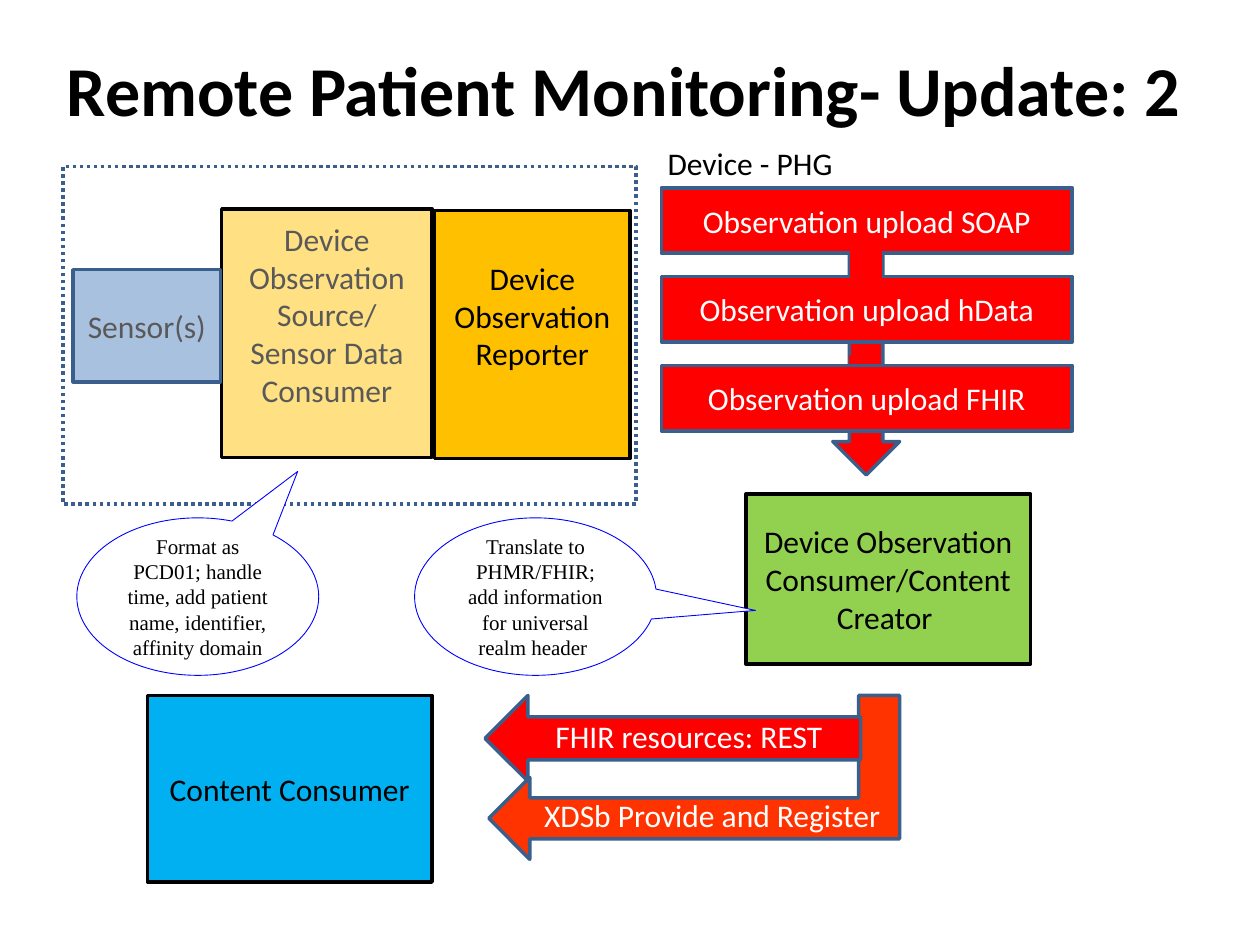
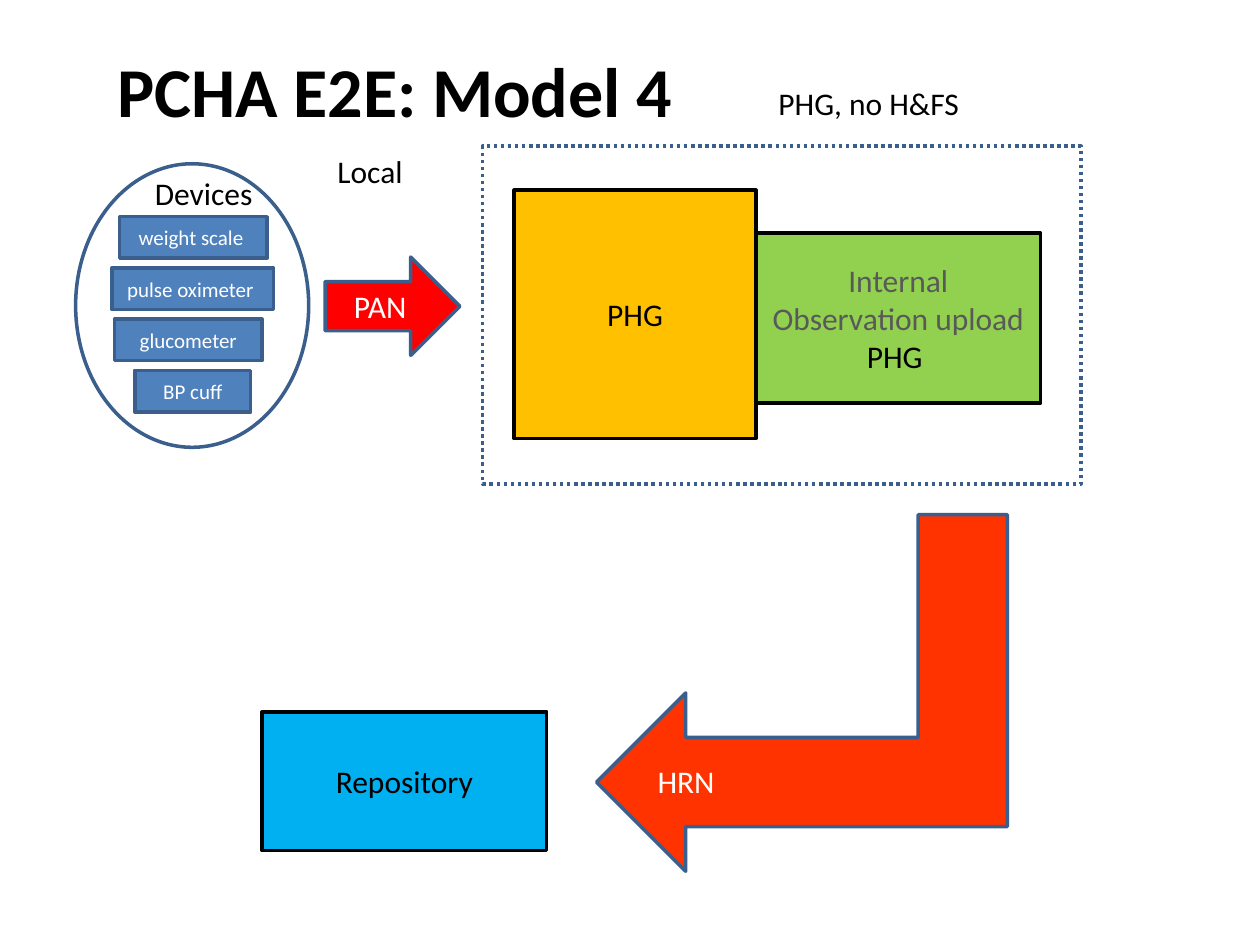
from lxml import etree
from pptx import Presentation
from pptx.dml.color import RGBColor
from pptx.enum.dml import MSO_LINE
from pptx.enum.shapes import MSO_SHAPE
from pptx.enum.text import MSO_ANCHOR, PP_ALIGN
from pptx.oxml.ns import qn
from pptx.util import Inches, Pt

RECT = MSO_SHAPE.RECTANGLE
OVAL = MSO_SHAPE.OVAL
CALLOUT = MSO_SHAPE.OVAL_CALLOUT
RIGHT_ARROW = MSO_SHAPE.RIGHT_ARROW
DOWN_ARROW = MSO_SHAPE.DOWN_ARROW
BENT_ARROW = MSO_SHAPE.BENT_UP_ARROW
DOTTED = MSO_LINE.ROUND_DOT
MIDDLE, TOP = MSO_ANCHOR.MIDDLE, MSO_ANCHOR.TOP
LEFT, CENTER = PP_ALIGN.LEFT, PP_ALIGN.CENTER

BLACK = RGBColor(0x00, 0x00, 0x00)
WHITE = RGBColor(0xFF, 0xFF, 0xFF)
GRAY = RGBColor(0x59, 0x59, 0x59)
STEEL = RGBColor(0x4F, 0x81, 0xBD)
NAVY = RGBColor(0x3A, 0x5F, 0x8C)
BLUE = RGBColor(0x00, 0x00, 0xFF)
SKY = RGBColor(0x00, 0xB0, 0xF0)
AMBER = RGBColor(0xFF, 0xC0, 0x00)
GREEN = RGBColor(0x92, 0xD0, 0x50)
RED = RGBColor(0xFF, 0x00, 0x00)
ORANGE = RGBColor(0xFF, 0x33, 0x00)

SANS, SERIF = "Calibri", "Times New Roman"
ACTOR_WIDTH, ACTOR_HEIGHT = 2.26, 1.35
TALL_HEIGHT = 1.97
LABEL_HEIGHT = 0.4
TEXT_LINE = 0.3
FADED = 49

UPLOADS = ["Observation upload SOAP", "Observation upload hData", "Observation upload FHIR"]
UPLOAD_LEFT, UPLOAD_TOP, UPLOAD_LAST = 5.25, 1.49, 2.9
UPLOAD_WIDTH, UPLOAD_HEIGHT = 3.26, 0.52
STEMS = [(6.75, 2.83, 0.23, 0.32), (6.76, 1.99, 0.23, 0.35)]

CALLOUTS = [
    (0.61, (0.413, -0.795),
     "Format as PCD01; handle time, add patient name, identifier, affinity domain"),
    (3.29, (0.909, 0.088),
     "Translate to PHMR/FHIR; add information for universal realm header "),
]

DEVICES = [
    ("weight scale ", 0.95, 1.17),
    ("pulse oximeter ", 0.89, 1.28),
    ("glucometer", 0.91, 1.17),
    ("BP cuff", 1.07, 0.92),
]
DEVICE_TOP, DEVICE_LAST, DEVICE_HEIGHT = 1.72, 2.94, 0.33


def spread(first, last, count):
    step = (last - first) / (count - 1)
    return [first + step * index for index in range(count)]


def write(frame, lines, size=18, font=SANS, color=BLACK, align=CENTER, bold=False):
    for index, line in enumerate(lines):
        text, shade = line if isinstance(line, tuple) else (line, color)
        para = frame.paragraphs[0] if index == 0 else frame.add_paragraph()
        para.text = text
        para.alignment = align
        para.font.size = Pt(size)
        para.font.name = font
        para.font.bold = bold
        para.font.color.rgb = shade


def add_title(deck, text, left, top, width):
    page = deck.slides.add_slide(deck.slide_layouts[5])
    title = page.shapes.title
    title.left, title.top = Inches(left), Inches(top)
    title.width, title.height = Inches(width), Inches(0.77)
    title.text_frame.word_wrap = False
    title.text_frame.vertical_anchor = TOP
    write(title.text_frame, [text], size=40, align=LEFT, bold=True)
    return page


def add_label(page, text, left, top, width, color=BLACK, wrap=False):
    box = page.shapes.add_textbox(*map(Inches, (left, top, width, LABEL_HEIGHT)))
    box.text_frame.word_wrap = wrap
    write(box.text_frame, [text], color=color, align=LEFT)


def add_block(page, kind, place, fill=None, line=NAVY, weight=2, lines=(),
              opacity=100, blank_below=0, **style):
    block = page.shapes.add_shape(kind, *map(Inches, place))
    block.shadow.inherit = False
    if fill is None:
        block.fill.background()
    else:
        block.fill.solid()
        block.fill.fore_color.rgb = fill
    if opacity < 100:
        tint = block._element.spPr.find(qn("a:solidFill")).find(qn("a:srgbClr"))
        etree.SubElement(tint, qn("a:alpha")).set("val", str(opacity * 1000))
    block.line.color.rgb = line
    block.line.width = Pt(weight)
    frame = block.text_frame
    frame.word_wrap = True
    frame.vertical_anchor = MIDDLE
    frame.margin_bottom = Inches(0.05 + blank_below)
    write(frame, lines, **style)
    return block


def add_actor(page, left, top, fill, lines, width=ACTOR_WIDTH, height=ACTOR_HEIGHT, **style):
    add_block(page, RECT, (left, top, width, height), fill, BLACK, lines=lines, **style)


def add_boundary(page, left, top, width):
    boundary = add_block(page, RECT, (left, top, width, 2.68))
    boundary.line.dash_style = DOTTED


def add_bent_arrow(page, left, top, width):
    arrow = add_block(page, BENT_ARROW, (left, top, width, 3.26), ORANGE)
    arrow.rotation = 90
    arrow._element.spPr.find(qn("a:xfrm")).set("flipV", "1")


def add_uploads(page):
    add_block(page, DOWN_ARROW, (6.61, 2.01, 0.53, 1.76), RED)
    tops = spread(UPLOAD_TOP, UPLOAD_LAST, len(UPLOADS))
    bars = list(zip(UPLOADS, tops))

    def add_bar(text, top):
        add_block(page, RECT, (UPLOAD_LEFT, top, UPLOAD_WIDTH, UPLOAD_HEIGHT), RED,
                  lines=[text], color=WHITE)

    for text, top in bars[:-1]:
        add_bar(text, top)
    for stem in STEMS:
        add_block(page, RECT, stem, RED, RED)
    add_bar(*bars[-1])


def build_update(deck):
    page = add_title(deck, "Remote Patient Monitoring- Update: 2", 0.43, 0.32, 9.14)
    add_actor(page, 1.76, 1.66, AMBER, ["Device Observation Source/", "Sensor Data Consumer"],
              1.67, TALL_HEIGHT, color=GRAY, opacity=FADED, blank_below=TEXT_LINE)
    add_block(page, RECT, (0.58, 2.14, 1.17, 0.89), STEEL, lines=["Sensor(s)"],
              color=GRAY, opacity=FADED)
    add_label(page, "Device - PHG", 5.2, 1.09, 1.53)
    add_actor(page, 5.92, 3.92, GREEN, ["Device Observation Consumer/Content Creator "])
    add_actor(page, 1.17, 5.52, SKY, ["Content Consumer"], height=1.48)
    add_boundary(page, 0.5, 1.32, 4.55)
    add_bent_arrow(page, 4.86, 4.54, 1.3)
    add_label(page, "XDSb Provide and Register", 4.22, 6.27, 2.96, WHITE)
    for left, tail, text in CALLOUTS:
        callout = add_block(page, CALLOUT, (left, 4.11, 1.92, 1.25), WHITE, BLUE, 0.5,
                            [text], size=12, font=SERIF)
        callout.adjustments[0], callout.adjustments[1] = tail
    add_actor(page, 3.45, 1.67, AMBER, ["Device Observation Reporter"], 1.55, TALL_HEIGHT,
              blank_below=TEXT_LINE)
    add_block(page, RIGHT_ARROW, (3.85, 5.52, 2.98, 0.68), RED).rotation = 180
    add_label(page, "FHIR resources: REST", 4.31, 5.64, 2.34, WHITE)
    add_uploads(page)


def build_model(deck):
    page = add_title(deck, "PCHA E2E: Model 4", 0.83, 0.33, 4.65)
    add_actor(page, 4.08, 1.51, AMBER, ["PHG"], 1.92, TALL_HEIGHT)
    tops = spread(DEVICE_TOP, DEVICE_LAST, len(DEVICES))
    for (text, left, width), top in zip(DEVICES, tops):
        add_block(page, RECT, (left, top, width, DEVICE_HEIGHT), STEEL,
                  lines=[text], size=12, color=WHITE)
    add_block(page, OVAL, (0.6, 1.3, 1.85, 2.25))
    add_label(page, "Devices", 1.13, 1.33, 0.99)
    add_actor(page, 6, 1.85, GREEN, [("Internal Observation upload", GRAY), "PHG "])
    add_actor(page, 2.08, 5.65, SKY, ["Repository"], height=1.1)
    add_boundary(page, 3.83, 1.16, 4.75)
    add_label(page, "Local", 2.58, 1.16, 0.73)
    add_block(page, RIGHT_ARROW, (2.58, 2.04, 1.07, 0.78), RED, lines=["PAN"], color=WHITE)
    add_bent_arrow(page, 4.95, 3.87, 2.83)
    add_label(page, "HRN", 5.12, 6, 2.88, WHITE, wrap=True)
    add_label(page, "PHG, no H&FS", 6.08, 0.62, 1.65)


def main():
    deck = Presentation()
    deck.slide_width, deck.slide_height = Inches(10), Inches(7.5)
    build_update(deck)
    build_model(deck)
    deck.save("out.pptx")


if __name__ == "__main__":
    main()
